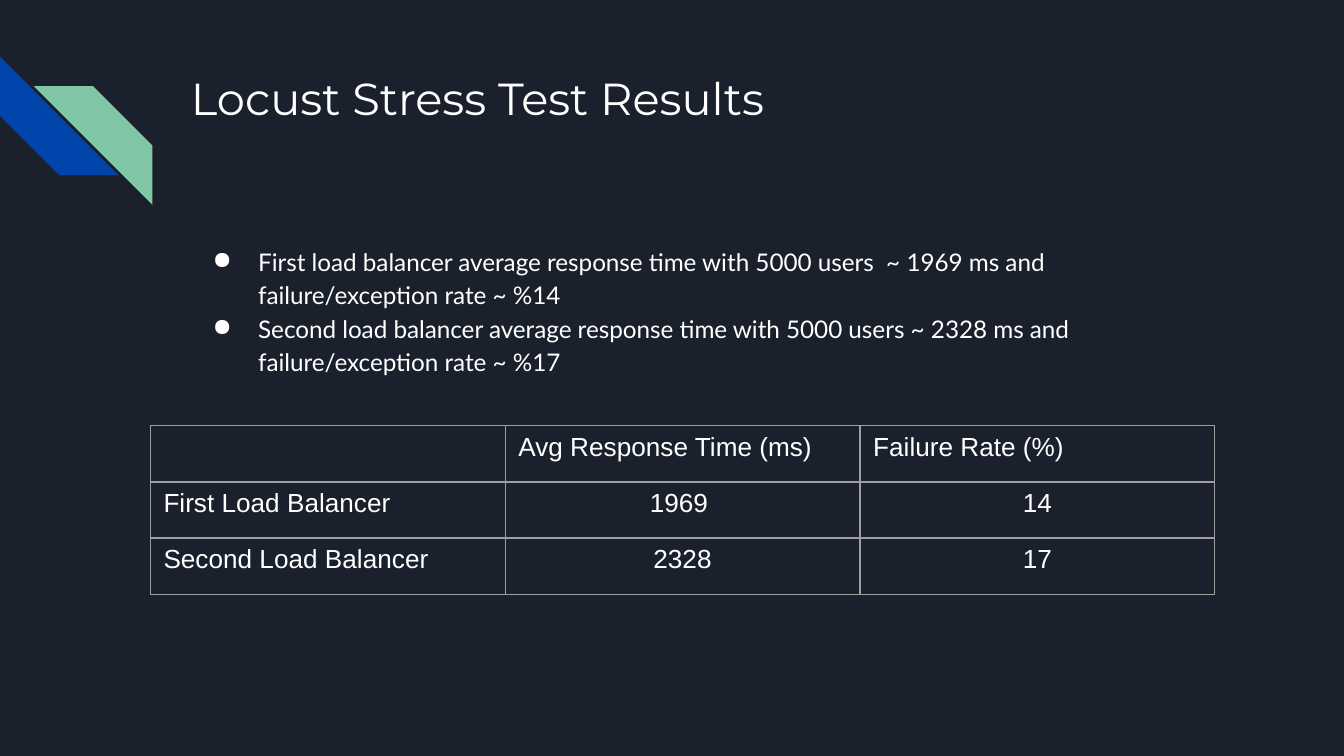
from lxml.etree import SubElement
from pptx import Presentation
from pptx.dml.color import RGBColor
from pptx.enum.shapes import MSO_SHAPE
from pptx.enum.text import MSO_ANCHOR, PP_ALIGN
from pptx.oxml.ns import qn
from pptx.util import Cm, Pt

HUES = {"back": "1B212C", "blue": "0145AC", "green": "82C7A5",
        "white": "FFFFFF", "rule": "9E9E9E"}
NOTES = [
    "First load balancer average response time with 5000 users  ~ 1969 ms and failure/exception rate ~ %14",
    "Second load balancer average response time with 5000 users ~ 2328 ms and failure/exception rate ~ %17",
]
ROWS = [
    ["", "Avg Response Time (ms)", "Failure Rate (%)"],
    ["First Load Balancer", "1969 ", "14"],
    ["Second Load Balancer", "2328", "17"],
]


def hue(name):
    return RGBColor.from_string(HUES[name])


def write(para, text, font="Arial", size=14, color="white",
          align=PP_ALIGN.LEFT, space=1.0, mark=None):
    para.alignment = align
    para.line_spacing = space
    if mark:
        props = para._p.get_or_add_pPr()
        props.set("marL", str(Cm(1.27)))
        props.set("indent", str(-Cm(0.86)))
        tint = SubElement(props, qn("a:buClr"))
        SubElement(tint, qn("a:srgbClr"), val=HUES[color])
        SubElement(props, qn("a:buChar"), char=mark)
    run = para.add_run()
    run.text = text
    run.font.name = font
    run.font.size = Pt(size)
    run.font.color.rgb = hue(color)


def add_frame(slide, left, top, width, height):
    frame = slide.shapes.add_textbox(Cm(left), Cm(top), Cm(width), Cm(height)).text_frame
    frame.word_wrap = True
    frame.vertical_anchor = MSO_ANCHOR.TOP
    frame.margin_left = frame.margin_right = 0
    frame.margin_top = frame.margin_bottom = Cm(0.25)
    return frame


def add_stripes(slide, left, top, side):
    for color, right, down, turn in (("blue", 0, 0, 270), ("green", 0.64, 0.56, 90)):
        stripe = slide.shapes.add_shape(
            MSO_SHAPE.DIAGONAL_STRIPE, Cm(left + right), Cm(top + down), Cm(side), Cm(side))
        stripe.rotation = turn
        stripe.shadow.inherit = False
        stripe.fill.solid()
        stripe.fill.fore_color.rgb = hue(color)
        stripe.line.fill.background()


def add_title(slide, left, top, width, height):
    frame = add_frame(slide, left, top, width, height)
    write(frame.paragraphs[0], "Locust Stress Test Results", font="Montserrat", size=24)


def add_notes(slide, left, top, width, height):
    frame = add_frame(slide, left, top, width, height)
    for i, note in enumerate(NOTES):
        para = frame.add_paragraph() if i else frame.paragraphs[0]
        write(para, note, font="Lato", size=13, space=1.15, mark="●")


def rule_cell(cell):
    props = cell._tc.get_or_add_tcPr()
    for i, side in enumerate(("lnL", "lnR", "lnT", "lnB")):
        line = props.makeelement(qn("a:" + side), {"w": str(Pt(0.75))})
        fill = SubElement(line, qn("a:solidFill"))
        SubElement(fill, qn("a:srgbClr"), val=HUES["rule"])
        props.insert(i, line)


def add_grid(slide, left, top, width, height):
    table = slide.shapes.add_table(
        len(ROWS), len(ROWS[0]), Cm(left), Cm(top), Cm(width), Cm(height)).table
    table.first_row = table.horz_banding = False
    for r, row in enumerate(ROWS):
        for c, text in enumerate(row):
            cell = table.cell(r, c)
            cell.fill.background()
            cell.margin_left = cell.margin_right = Cm(0.25)
            cell.margin_top = cell.margin_bottom = Cm(0.13)
            rule_cell(cell)
            if text:
                align = PP_ALIGN.CENTER if r and c else PP_ALIGN.LEFT
                write(cell.text_frame.paragraphs[0], text, align=align)


def main():
    deck = Presentation()
    deck.slide_width, deck.slide_height = Cm(25.4), Cm(14.29)
    slide = deck.slides.add_slide(deck.slide_layouts[6])
    slide.background.fill.solid()
    slide.background.fill.fore_color.rgb = hue("back")
    add_stripes(slide, 0, 1.07, 2.24)
    add_title(slide, 3.61, 1.09, 19.56, 2.54)
    add_notes(slide, 3.61, 4.34, 19.56, 8.08)
    add_grid(slide, 2.84, 8.05, 20.12, 3.18)
    deck.save("out.pptx")


if __name__ == "__main__":
    main()
